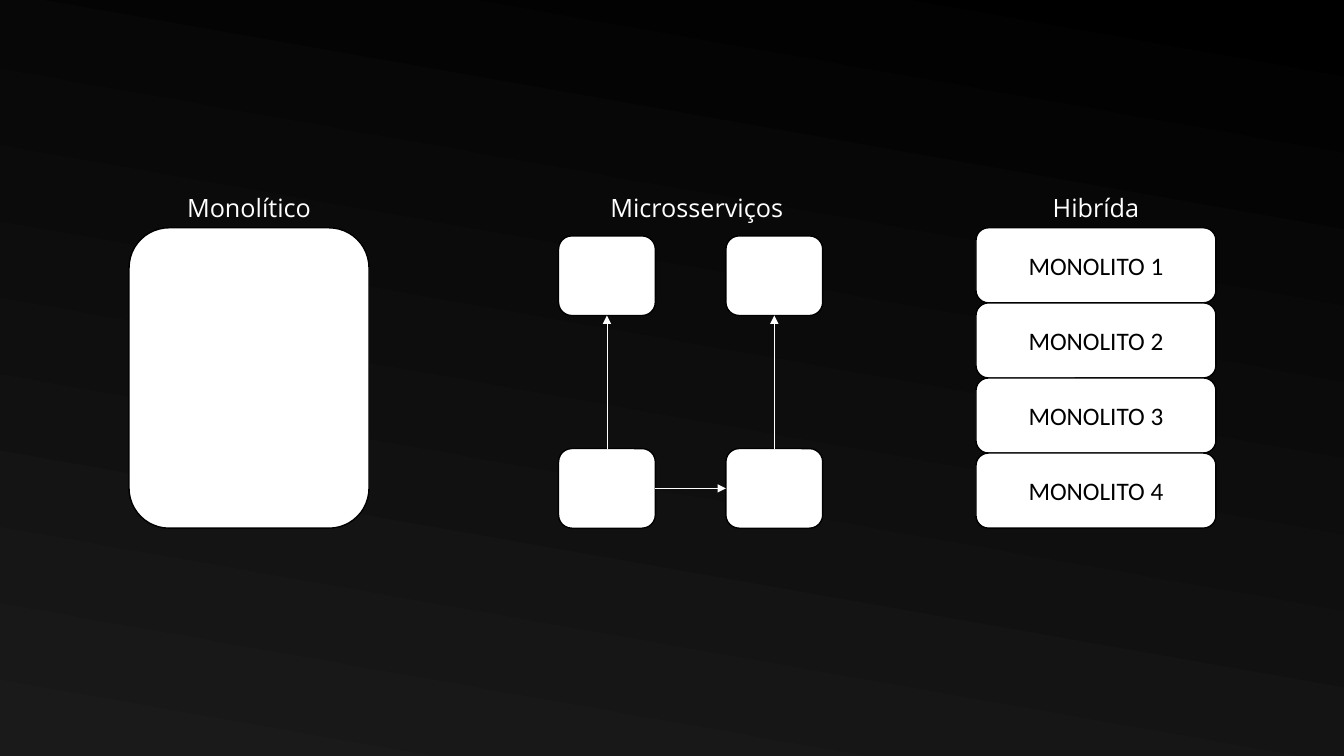
from pptx import Presentation
from pptx import util as u
from pptx.dml.color import RGBColor
from pptx.enum import shapes, text
from pptx.oxml.ns import qn
from lxml import etree

COLORS = {"black": "000000", "charcoal": "1A1A1A", "white": "FFFFFF"}
colors = {name: RGBColor.from_string(value) for name, value in COLORS.items()}

presentation = Presentation()
presentation.slide_width, presentation.slide_height = u.Inches(13.33), u.Inches(7.5)
slide = presentation.slides.add_slide(presentation.slide_layouts[6])

# Grid: blocks share a top, width and height; services sit on a 2 x 2 grid
BLOCK_TOP, BLOCK_WIDTH, BLOCK_HEIGHT = 2.26, 2.38, 2.98
MONOLITH_LEFT, HYBRID_LEFT = 1.28, 9.68
SERVICE_COLUMNS, SERVICE_ROWS = (5.54, 7.2), (2.34, 4.45)
SERVICE_WIDTH, SERVICE_HEIGHT = 0.96, 0.79
LAYERS = 4


def add_box(left, top, width, height, label=""):
    shape = slide.shapes.add_shape(
        shapes.MSO_SHAPE.ROUNDED_RECTANGLE,
        u.Inches(left), u.Inches(top), u.Inches(width), u.Inches(height))
    shape.shadow.inherit = False
    shape.fill.solid()
    shape.fill.fore_color.rgb = colors["white"]
    shape.line.color.rgb = colors["black"]
    shape.line.width = u.Pt(1)
    if label:
        write(shape.text_frame, label, "Calibri", "black")
    return shape


def write(text_frame, label, font_name, color):
    text_frame.text = label
    text_frame.vertical_anchor = text.MSO_ANCHOR.MIDDLE
    paragraph = text_frame.paragraphs[0]
    paragraph.alignment = text.PP_ALIGN.CENTER
    font = paragraph.runs[0].font
    font.name, font.size = font_name, u.Pt(18)
    font.color.rgb = colors[color]


# Background gradient
background = slide.background.fill
background.gradient()
background.gradient_angle = 260
for stop, position, color in zip(background.gradient_stops, (0, 1), ("black", "charcoal")):
    stop.position = position
    stop.color.rgb = colors[color]

# Monolith
add_box(MONOLITH_LEFT, BLOCK_TOP, BLOCK_WIDTH, BLOCK_HEIGHT)

# Microservices
services = [[add_box(left, top, SERVICE_WIDTH, SERVICE_HEIGHT) for left in SERVICE_COLUMNS]
            for top in SERVICE_ROWS]

# Hybrid: stacked layers
layer_height = BLOCK_HEIGHT / LAYERS
for layer in range(LAYERS):
    add_box(HYBRID_LEFT, BLOCK_TOP + layer * layer_height, BLOCK_WIDTH, layer_height,
            f"MONOLITO {layer + 1}")

# Arrows between services: start, its side, end, its side
(upper_left, upper_right), (lower_left, lower_right) = services
for start, start_side, end, end_side in (
        (lower_left, 0, upper_left, 2),
        (lower_right, 0, upper_right, 2),
        (lower_left, 3, lower_right, 1)):
    arrow = slide.shapes.add_connector(shapes.MSO_CONNECTOR.STRAIGHT, 0, 0, 0, 0)
    arrow.begin_connect(start, start_side)
    arrow.end_connect(end, end_side)
    arrow.line.color.rgb = colors["white"]
    arrow.line.width = u.Pt(0.5)
    etree.SubElement(arrow.line._get_or_add_ln(), qn("a:tailEnd"), type="triangle")
    etree.SubElement(arrow._element.spPr, qn("a:effectLst"))

# Headings: label, centre, width
for label, center, width in (
        ("Monolítico", 2.47, 1.44),
        ("Microsserviços", 6.91, 1.94),
        ("Hibrída", 10.87, 1.07)):
    heading = slide.shapes.add_textbox(
        u.Inches(center - width / 2), u.Inches(1.86), u.Inches(width), u.Inches(0.4))
    heading.text_frame.word_wrap = False
    heading.text_frame.auto_size = text.MSO_AUTO_SIZE.SHAPE_TO_FIT_TEXT
    write(heading.text_frame, label, "Open Sans", "white")

presentation.save("out.pptx")
